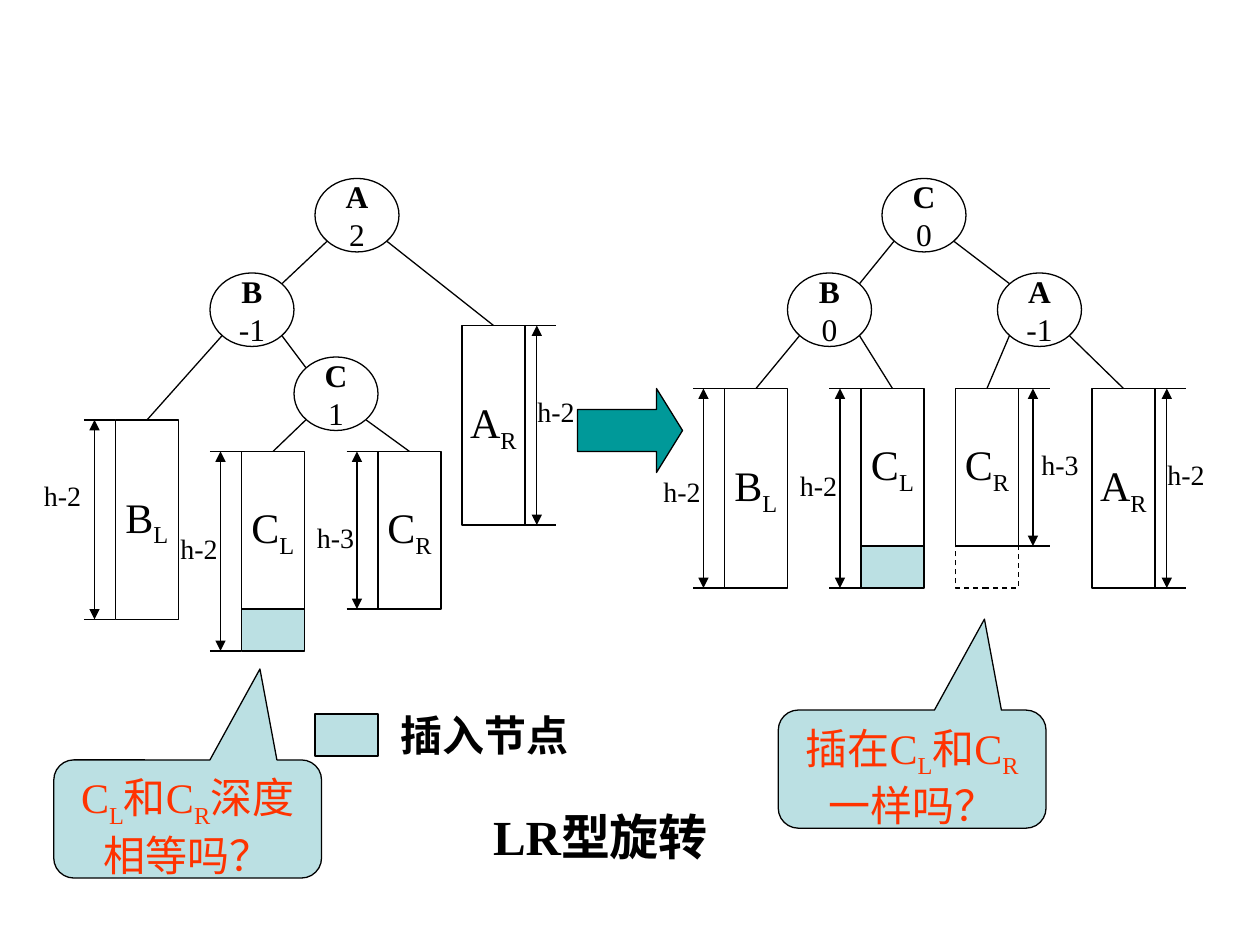
from lxml import etree
from pptx import Presentation
from pptx.dml.color import RGBColor
from pptx.enum.dml import MSO_LINE
from pptx.enum.shapes import MSO_CONNECTOR, MSO_SHAPE
from pptx.enum.text import MSO_ANCHOR, PP_ALIGN
from pptx.oxml.ns import qn
from pptx.util import Emu, Pt

PX = 9525  # EMU per px, 96 px to the inch
FONT = "Times New Roman"
COLORS = {"ink": "000000", "inserted": "BBE0E3", "arrow": "009999", "question": "FF3300"}

RECT, OVAL = MSO_SHAPE.RECTANGLE, MSO_SHAPE.OVAL
ARROW, CALLOUT = MSO_SHAPE.RIGHT_ARROW, MSO_SHAPE.ROUNDED_RECTANGULAR_CALLOUT
STRAIGHT, DASH = MSO_CONNECTOR.STRAIGHT, MSO_LINE.DASH
LEFT, CENTER = PP_ALIGN.LEFT, PP_ALIGN.CENTER
TOP, MIDDLE = MSO_ANCHOR.TOP, MSO_ANCHOR.MIDDLE

NODE_W, NODE_H = 64, 56
CORNER_X, CORNER_Y = 23, 20  # where edges meet an oval, from its centre
TREE_W, TALL, SHORT, ADDED = 48, 152, 120, 32
TICK = 24


def color(name):
    return RGBColor.from_string(COLORS[name])


def write(p, text, size=16, ink="ink", bold=False, align=CENTER):
    """Fill a paragraph; the letter after each underscore is a subscript."""
    p.alignment = align
    first, *rest = text.split("_")
    parts = [(first, False)]
    for part in rest:
        parts += [(part[0], True), (part[1:], False)]
    for piece, subscript in parts:
        if not piece:
            continue
        r = p.add_run()
        r.text = piece
        r.font.name, r.font.size, r.font.bold = FONT, Pt(size), bold
        r.font.color.rgb = color(ink)
        if subscript:
            r._r.get_or_add_rPr().set("baseline", "-25000")


class Board:
    def __init__(self, slide):
        self.shapes = slide.shapes

    def outline(self, line):
        line.color.rgb = color("ink")
        line.width = Pt(0.75)

    def shape(self, kind, x, y, w, h, fill=None, adjust=(), anchor=MIDDLE, wrap=False):
        sp = self.shapes.add_shape(kind, *(Emu(v * PX) for v in (x, y, w, h)))
        sp.shadow.inherit = False
        for i, value in enumerate(adjust):
            sp.adjustments[i] = value
        if fill:
            sp.fill.solid()
            sp.fill.fore_color.rgb = color(fill)
        else:
            sp.fill.background()
        self.outline(sp.line)
        sp.text_frame.word_wrap = wrap
        sp.text_frame.vertical_anchor = anchor
        return sp

    def line(self, x1, y1, x2, y2, arrows=False):
        cn = self.shapes.add_connector(STRAIGHT, *(Emu(v * PX) for v in (x1, y1, x2, y2)))
        self.outline(cn.line)
        if arrows:
            ln = cn.line._get_or_add_ln()
            for end in ("a:headEnd", "a:tailEnd"):
                etree.SubElement(ln, qn(end)).set("type", "triangle")
        etree.SubElement(cn._element.spPr, qn("a:effectLst"))

    def label(self, x, y, w, h, text, **fmt):
        tf = self.shapes.add_textbox(*(Emu(v * PX) for v in (x, y, w, h))).text_frame
        tf.word_wrap = True
        write(tf.paragraphs[0], text, **fmt)

    def node(self, x, y, name, balance):
        """Draw a node and return its centre and the offsets of its corners."""
        tf = self.shape(OVAL, x, y, NODE_W, NODE_H).text_frame
        write(tf.paragraphs[0], name, size=18, bold=True)
        write(tf.add_paragraph(), balance, size=18)
        return x + NODE_W // 2, y + NODE_H // 2, CORNER_X, CORNER_Y

    def subtree(self, x, y, h, name):
        """Draw a subtree and return the point where its edge arrives."""
        sp = self.shape(RECT, x, y, TREE_W, h)
        write(sp.text_frame.paragraphs[0], name, size=24)
        return x + TREE_W // 2, y, 0, 0

    def edge(self, parent, child):
        (px, py, pdx, pdy), (cx, cy, cdx, cdy) = parent, child
        side = 1 if cx > px else -1
        self.line(px + side * pdx, py + pdy, cx - side * cdx, cy - cdy)

    def measure(self, tick_x, bar_x, y, h, text, label_x, label_y):
        for tick_y in (y, y + h):
            self.line(tick_x, tick_y, tick_x + TICK, tick_y)
        self.line(bar_x, y, bar_x, y + h, arrows=True)
        self.label(label_x, label_y, 48, 36, text, align=LEFT)

    def question(self, x, y, text):
        sp = self.shape(CALLOUT, x, y, 204, 90, "inserted", (0.27, -1.27, 0.17), TOP, True)
        write(sp.text_frame.paragraphs[0], text, size=24, ink="question")


def main():
    prs = Presentation()
    prs.slide_width, prs.slide_height = Emu(960 * PX), Emu(720 * PX)
    s = Board(prs.slides.add_slide(prs.slide_layouts[6]))

    # Tree before the rotation
    a, b, c = s.node(240, 136, "A", "2"), s.node(160, 208, "B", "-1"), s.node(224, 272, "C", "1")
    bl = s.subtree(88, 320, TALL, "B_L")
    cl = s.subtree(184, 344, SHORT, "C_L")
    cr = s.subtree(288, 344, SHORT, "C_R")
    ar = s.subtree(352, 248, TALL, "A_R")
    for parent, child in ((a, b), (a, ar), (b, bl), (b, c), (c, cl), (c, cr)):
        s.edge(parent, child)
    s.shape(RECT, 184, 344 + SHORT, TREE_W, ADDED, "inserted")

    # Tree after the rotation
    c, b, a = s.node(672, 136, "C", "0"), s.node(600, 208, "B", "0"), s.node(760, 208, "A", "-1")
    bl = s.subtree(552, 296, TALL, "B_L")
    cl = s.subtree(656, 296, SHORT, "C_L")
    cr = s.subtree(728, 296, SHORT, "C_R")
    ar = s.subtree(832, 296, TALL, "A_R")
    for parent, child in ((c, b), (c, a), (b, bl), (b, cl), (a, cr), (a, ar)):
        s.edge(parent, child)
    s.shape(RECT, 656, 296 + SHORT, TREE_W, ADDED, "inserted")
    s.shape(RECT, 728, 296 + SHORT, TREE_W, ADDED).line.dash_style = DASH

    # Heights: tick x, bar x, top, height, text, label x, label y
    for row in (
        (64, 72, 320, TALL, "h-2", 24, 360),
        (160, 168, 344, TALL, "h-2", 128, 400),
        (264, 272, 344, SHORT, "h-3", 232, 392),
        (400, 409, 248, TALL, "h-2", 400, 296),
        (528, 536, 296, TALL, "h-2", 496, 357),
        (632, 640, 296, TALL, "h-2", 600, 352),
        (776, 787, 296, SHORT, "h-3", 784, 336),
        (880, 889, 296, TALL, "h-2", 880, 344),
    ):
        s.measure(*row)

    # Rotation arrow, legend and title
    s.shape(ARROW, 440, 296, 80, 64, "arrow", (0.5, 0.31))
    s.shape(RECT, 240, 544, TREE_W, ADDED, "inserted")
    s.label(296, 536, 232, 48, "插入节点", size=24, bold=True, align=LEFT)
    s.label(238, 610, 439, 54, "LR型旋转", size=28, bold=True)

    # Questions
    s.question(41, 579, "C_L和C_R深度相等吗？")
    s.question(593, 541, "插在C_L和C_R一样吗？")

    prs.save("out.pptx")


if __name__ == "__main__":
    main()
